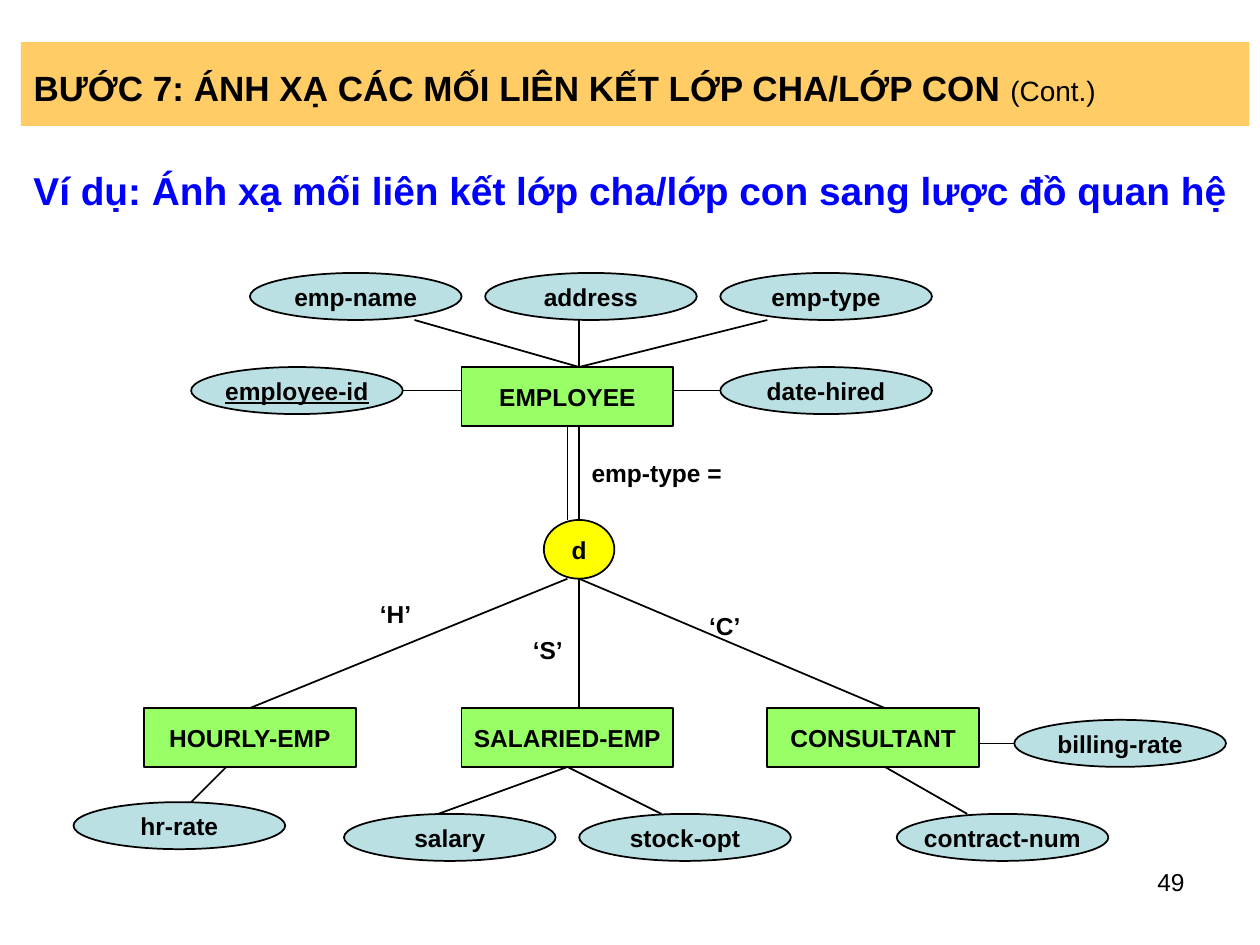
from dataclasses import dataclass

from lxml import etree
from pptx import Presentation
from pptx.dml.color import RGBColor
from pptx.enum.shapes import MSO_CONNECTOR, MSO_SHAPE
from pptx.enum.text import MSO_ANCHOR, MSO_AUTO_SIZE, PP_ALIGN
from pptx.oxml.ns import qn
from pptx.util import Pt

RECTANGLE, ELLIPSE = MSO_SHAPE.RECTANGLE, MSO_SHAPE.OVAL
STRAIGHT = MSO_CONNECTOR.STRAIGHT
LEFT, CENTER, RIGHT = PP_ALIGN.LEFT, PP_ALIGN.CENTER, PP_ALIGN.RIGHT
TOP, MIDDLE = MSO_ANCHOR.TOP, MSO_ANCHOR.MIDDLE
NO_AUTOFIT = MSO_AUTO_SIZE.NONE


@dataclass(frozen=True)
class Theme:
    font: str = "Arial"
    ink: str = "000000"
    banner: str = "FFCC66"
    heading: str = "0000FF"
    entity: str = "99FF66"
    attribute: str = "BBE0E3"
    disjoint: str = "FFFF00"
    title_size: float = 20
    suffix_size: float = 16
    heading_size: float = 22.2
    diagram_size: float = 14
    line_width: float = 1


THEME = Theme()
GRID = 6.72
NODE_WIDTH, ENTITY_HEIGHT, ATTRIBUTE_HEIGHT = 18, 5, 4

ENTITIES = [
    ("EMPLOYEE", 33, 8),
    ("HOURLY-EMP", 6, 37),
    ("SALARIED-EMP", 33, 37),
    ("CONSULTANT", 59, 37),
]
ATTRIBUTES = [
    ("emp-name", 15, 0),
    ("address", 35, 0),
    ("emp-type", 55, 0),
    ("employee-id", 10, 8),
    ("date-hired", 55, 8),
    ("billing-rate", 80, 38),
    ("hr-rate", 0, 45),
    ("salary", 23, 46),
    ("stock-opt", 43, 46),
    ("contract-num", 70, 46),
]
KEY_ATTRIBUTE = "employee-id"
LABELS = [
    ("emp-type =", 43, 15, 24),
    ("‘H’", 25, 27, 7),
    ("‘S’", 38, 30, 7),
    ("‘C’", 53, 28, 7),
]
LINKS = [
    ((43, 4), (43, 8)),
    ((43, 8), (29, 4)),
    ((43, 8), (59, 4)),
    ((51, 10), (55, 10)),
    ((33, 10), (28, 10)),
    ((42, 13), (42, 21)),
    ((43, 13), (43, 21)),
    ((42, 26), (15, 37)),
    ((43, 26), (43, 37)),
    ((43, 26), (69, 37)),
    ((50, 36), (50, 36)),
    ((13, 42), (10, 45)),
    ((42, 42), (31, 46)),
    ((42, 42), (50, 46)),
    ((69, 42), (76, 46)),
    ((77, 40), (80, 40)),
]


def write_text(shape, text, size=THEME.diagram_size, color=THEME.ink, bold=True,
               underline=False, align=LEFT, anchor=MIDDLE, wrap=True, spacing=1.0):
    frame = shape.text_frame
    frame.auto_size = NO_AUTOFIT
    frame.word_wrap = wrap
    frame.vertical_anchor = anchor
    paragraph = frame.paragraphs[0]
    paragraph.alignment = align
    paragraph.line_spacing = spacing
    run = paragraph.add_run()
    run.text = text
    run.font.name = THEME.font
    run.font.size = Pt(size)
    run.font.bold = bold
    run.font.underline = underline
    run.font.color.rgb = RGBColor.from_string(color)


def fill_shape(shape, color):
    shape.fill.solid()
    shape.fill.fore_color.rgb = RGBColor.from_string(color)


def style_line(line):
    line.color.rgb = RGBColor.from_string(THEME.ink)
    line.width = Pt(THEME.line_width)


def add_title(slide, left, top, width, height):
    title = slide.shapes.title
    title.left, title.top, title.width, title.height = map(Pt, (left, top, width, height))
    fill_shape(title, THEME.banner)
    write_text(title, "BƯỚC 7: ÁNH XẠ CÁC MỐI LIÊN KẾT LỚP CHA/LỚP CON ",
               size=THEME.title_size, spacing=1.15)
    write_text(title, "(Cont.)", size=THEME.suffix_size, bold=False, spacing=1.15)


def add_text(slide, left, top, width, height, text, **text_format):
    box = slide.shapes.add_textbox(*map(Pt, (left, top, width, height)))
    write_text(box, text, **text_format)


def add_diagram(slide, left, top):
    def place(column, row):
        return Pt(left + column * GRID), Pt(top + row * GRID)

    def add_node(kind, text, column, row, width, height, color):
        shape = slide.shapes.add_shape(
            kind, *place(column, row), Pt(width * GRID), Pt(height * GRID))
        shape.shadow.inherit = False
        fill_shape(shape, color)
        style_line(shape.line)
        write_text(shape, text, align=CENTER, wrap=False,
                   underline=text == KEY_ATTRIBUTE)
        return shape

    sites = {}
    for text, column, row in ENTITIES:
        shape = add_node(RECTANGLE, text, column, row,
                         NODE_WIDTH, ENTITY_HEIGHT, THEME.entity)
        sites[column + NODE_WIDTH / 2, row] = shape, 0
        sites[column + NODE_WIDTH / 2, row + ENTITY_HEIGHT] = shape, 2
    for text, column, row in ATTRIBUTES:
        add_node(ELLIPSE, text, column, row,
                 NODE_WIDTH, ATTRIBUTE_HEIGHT, THEME.attribute)
    add_node(ELLIPSE, "d", 40, 21, 6, 5, THEME.disjoint)

    for start, end in LINKS:
        connector = slide.shapes.add_connector(STRAIGHT, *place(*start), *place(*end))
        style_line(connector.line)
        etree.SubElement(connector._element.spPr, qn("a:effectLst"))
        if start in sites:
            connector.begin_connect(*sites[start])
        if end in sites:
            connector.end_connect(*sites[end])

    for text, column, row, width in LABELS:
        add_text(slide, left + column * GRID, top + row * GRID,
                 width * GRID, ATTRIBUTE_HEIGHT * GRID, text)


def main():
    presentation = Presentation()
    presentation.slide_width, presentation.slide_height = Pt(720), Pt(540)
    slide = presentation.slides.add_slide(presentation.slide_layouts[5])
    add_title(slide, 12, 24, 702, 48)
    add_text(slide, 12, 84, 702, 48,
             "Ví dụ: Ánh xạ mối liên kết lớp cha/lớp con sang lược đồ quan hệ",
             size=THEME.heading_size, color=THEME.heading, spacing=1.05)
    add_diagram(slide, 42, 156)
    add_text(slide, 516, 492, 168, 37.5, "49", bold=False, align=RIGHT, anchor=TOP)
    presentation.save("out.pptx")


if __name__ == "__main__":
    main()
